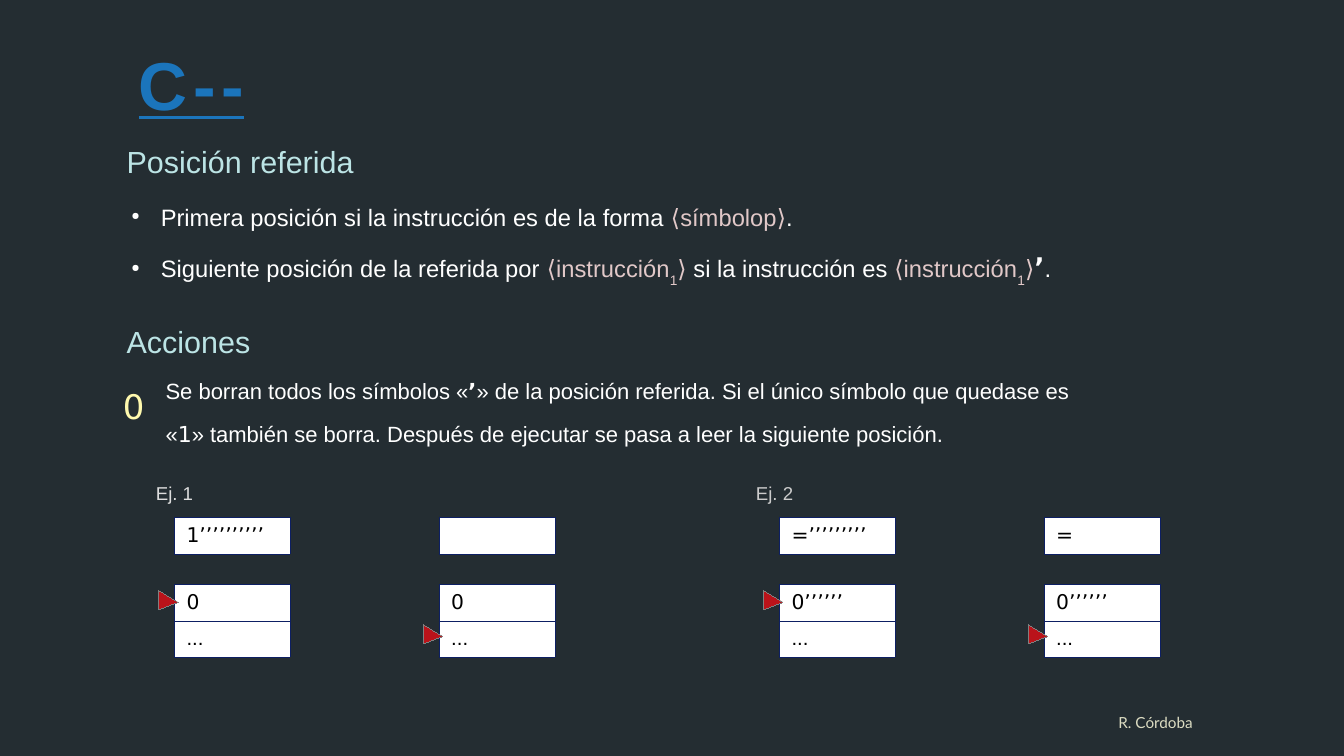
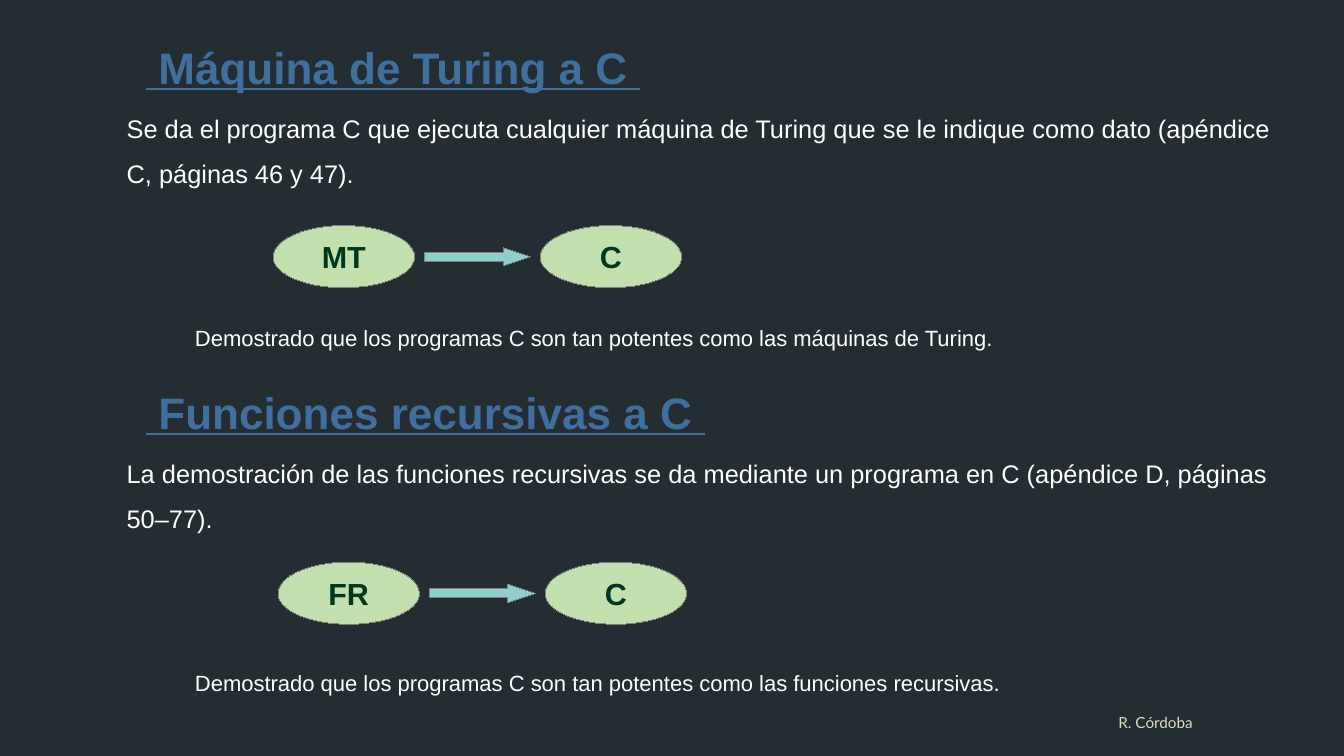
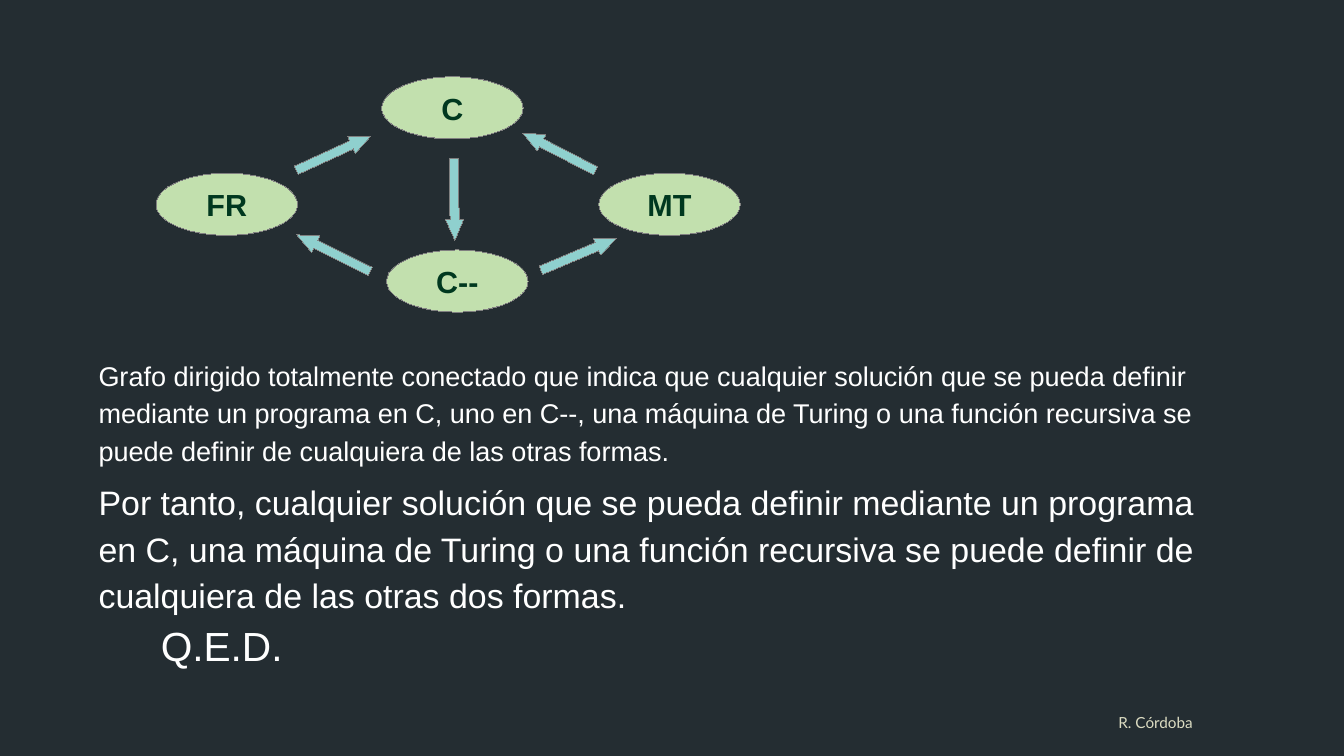
"""Build three slides on C--, Turing machines and recursive functions."""
from lxml.etree import SubElement
from pptx import Presentation
from pptx.dml.color import RGBColor
from pptx.enum.shapes import MSO_SHAPE as SHAPE
from pptx.enum.text import MSO_ANCHOR, MSO_AUTO_SIZE, PP_ALIGN
from pptx.oxml.ns import qn
from pptx.util import Inches, Pt

COLORS = {
    "background": "242D32", "white": "FFFFFF", "black": "000000",
    "title": "1B75BC", "section": "406E9D", "heading": "BCE4E5",
    "term": "E1C8C8", "digit": "FFF9AE", "footer": "DCDCC2",
    "example1": "DDDDDD", "example2": "CCCCCC", "border": "0D1F63",
    "pointer": "BA131A", "outline": "808080",
    "node": "C2E0AE", "node_text": "00381F", "arrow": "8FD0CE",
}
SANS, MONO = "Arial", "DejaVu Sans"
NODE_W, NODE_H, ARROW_H = 1.16, 0.51, 0.15
CELL_W, CELL_H = 0.95, 0.3
STEP_GAP = 2.17

TERM = {"color": "term"}
INDEX = {"color": "term", "baseline": -33000}
TICK = {"font": MONO, "bold": True}
RULES = [
    [("Primera posición si la instrucción es de la forma ", {}),
     ("⟨símbolop⟩", TERM), (".", {})],
    [("Siguiente posición de la referida por ", {}),
     ("⟨instrucción", TERM), ("1", INDEX), ("⟩", TERM),
     (" si la instrucción es", {}),
     (" ⟨instrucción", TERM), ("1", INDEX), ("⟩", TERM),
     ("’", {**TICK, "size": 16}), (".", {})],
]
ACTION = [
    ("Se borran todos los símbolos «", {}), ("’", TICK),
    ("» de la posición referida. Si el único símbolo que quedase es «", {}),
    ("1", {"font": MONO}),
    ("» también se borra. Después de ejecutar se pasa a leer la siguiente posición.", {}),
]
EXAMPLES = [
    ("Ej. 1", "example1", 1.18, 1.43, [("1’’’’’’’’’’", "0"), ("", "0")]),
    ("Ej. 2", "example2", 6.1, 6.39, [("=’’’’’’’’’", "0’’’’’’"), ("=", "0’’’’’’")]),
]
PROOFS = [
    {"title": " Máquina de Turing a C ", "top": 0.28, "source": "MT", "graph": (2.24, 1.85),
     "text": "Se da el programa C que ejecuta cualquier máquina de Turing que se le "
             "indique como dato (apéndice C, páginas 46 y 47).",
     "result": "Demostrado que los programas C son tan potentes como las máquinas de Turing."},
    {"title": " Funciones recursivas a C ", "top": 3.11, "source": "FR", "graph": (2.28, 4.61),
     "text": "La demostración de las funciones recursivas se da mediante un programa "
             "en C (apéndice D, páginas 50‒77).",
     "result": "Demostrado que los programas C son tan potentes como las funciones recursivas."},
]
NODES = [("FR", 1.28, 1.42), ("C", 3.13, 0.63), ("C--", 3.17, 2.05), ("MT", 4.91, 1.42)]
LINKS = [(4.41, 2.01, 337.1), (2.4, 2, 206.4), (4.25, 1.17, 207.3),
         (2.4, 1.18, 335.4), (3.39, 1.56, 89.2)]
CONCLUSIONS = [
    ("Grafo dirigido totalmente conectado que indica que cualquier solución que se pueda "
     "definir mediante un programa en C, uno en C--, una máquina de Turing o una función "
     "recursiva se puede definir de cualquiera de las otras formas.",
     (0.71, 2.86, 9.84, 1), 16, 1.15),
    ("Por tanto, cualquier solución que se pueda definir mediante un programa en C, una "
     "máquina de Turing o una función recursiva se puede definir de cualquiera de las "
     "otras dos formas.", (0.71, 3.85, 9.45, 1.17), 20, 1.15),
    ("Q.E.D.", (1.22, 5.04, 1.34, 0.47), 24, None),
]


def rgb(name):
    return RGBColor.from_string(COLORS[name])


def add_run(p, text, size, color="white", font=SANS, bold=False,
            underline=False, baseline=None, spacing=None):
    r = p.add_run()
    r.text = text
    f = r.font
    f.size, f.name, f.bold, f.underline = Pt(size), font, bold, underline
    f.color.rgb = rgb(color)
    for key, value in (("baseline", baseline), ("spc", spacing)):
        if value is not None:
            f._element.set(key, str(value))


def add_bullet(p):
    pPr = p._p.get_or_add_pPr()
    pPr.set("marL", str(Inches(0.24)))
    pPr.set("indent", str(-Inches(0.24)))
    color = SubElement(pPr, qn("a:buClr"))
    SubElement(color, qn("a:srgbClr")).set("val", COLORS["white"])
    SubElement(pPr, qn("a:buSzPct")).set("val", "45000")
    SubElement(pPr, qn("a:buChar")).set("char", "●")


def add_text(s, at, paragraphs, size, line=None, bullet=False, **style):
    if isinstance(paragraphs, str):
        paragraphs = [[(paragraphs, {})]]
    tf = s.shapes.add_textbox(*map(Inches, at)).text_frame
    tf.word_wrap = True
    tf.auto_size = MSO_AUTO_SIZE.SHAPE_TO_FIT_TEXT
    for i, runs in enumerate(paragraphs):
        p = tf.add_paragraph() if i else tf.paragraphs[0]
        if line:
            p.line_spacing = line
        if bullet:
            add_bullet(p)
        for text, own in runs:
            add_run(p, text, **{"size": size, **style, **own})
    return tf


def add_figure(s, kind, at, fill, rotation=0, adjustments=()):
    sp = s.shapes.add_shape(kind, *map(Inches, at))
    sp.shadow.inherit = False
    sp.fill.solid()
    sp.fill.fore_color.rgb = rgb(fill)
    sp.line.color.rgb = rgb("outline")
    sp.line.width = Pt(0.01)
    sp.rotation = rotation
    for i, value in enumerate(adjustments):
        sp.adjustments[i] = value
    return sp


def add_node(s, label, left, top):
    tf = add_figure(s, SHAPE.OVAL, (left, top, NODE_W, NODE_H), "node").text_frame
    tf.word_wrap = False
    tf.vertical_anchor = MSO_ANCHOR.MIDDLE
    p = tf.paragraphs[0]
    p.alignment = PP_ALIGN.CENTER
    add_run(p, label, 18, "node_text", bold=True)


def add_arrow(s, left, top, width, head, rotation=0):
    add_figure(s, SHAPE.RIGHT_ARROW, (left, top, width, ARROW_H), "arrow",
               rotation, (0.5, head))


def add_borders(cell):
    tcPr = cell._tc.get_or_add_tcPr()
    for i, side in enumerate(("lnL", "lnR", "lnT", "lnB")):
        ln = tcPr.makeelement(qn(f"a:{side}"), {"w": str(Pt(0.06))})
        fill = SubElement(ln, qn("a:solidFill"))
        SubElement(fill, qn("a:srgbClr")).set("val", COLORS["border"])
        tcPr.insert(i, ln)


def add_memory(s, left, top, values):
    frame = s.shapes.add_table(len(values), 1, Inches(left), Inches(top),
                               Inches(CELL_W), Inches(CELL_H * len(values)))
    table = frame.table
    table.first_row = table.horz_banding = False
    for i, value in enumerate(values):
        cell = table.cell(i, 0)
        cell.fill.solid()
        cell.fill.fore_color.rgb = rgb("white")
        add_borders(cell)
        p = cell.text_frame.paragraphs[0]
        if value:
            add_run(p, value, 12, "black", SANS if value == "..." else MONO)
        else:
            SubElement(p._p, qn("a:endParaRPr")).set("sz", "1200")


def add_slide(prs):
    s = prs.slides.add_slide(prs.slide_layouts[6])
    tf = add_text(s, (7.73, 5.85, 3.49, 0.43), "R. Córdoba", 9, color="footer", font="Lato")
    tf.auto_size = MSO_AUTO_SIZE.NONE
    tf.margin_left = tf.margin_right = tf.margin_top = tf.margin_bottom = 0
    tf.paragraphs[0].alignment = PP_ALIGN.CENTER
    return s


def build_actions(s):
    add_text(s, (1.04, 0.3, 2, 0.72), "C--", 40,
             color="title", bold=True, underline=True, spacing=340)
    for heading, top in (("Posición referida", 1.12), ("Acciones", 2.6)):
        add_text(s, (0.94, top, 3, 0.38), heading, 18, color="heading")
    add_text(s, (0.98, 1.5, 8.9, 0.94), RULES, 14, line=1.5, bullet=True)
    add_text(s, (1.26, 2.91, 7.76, 0.81), [ACTION], 13, line=Pt(25.5))
    add_text(s, (0.91, 3.11, 0.5, 0.42), "0", 20, color="digit", font=MONO)
    for label, color, label_left, left, steps in EXAMPLES:
        add_text(s, (label_left, 3.9, 1, 0.27), label, 11, color=color)
        for i, (data, instruction) in enumerate(steps):
            x = left + i * STEP_GAP
            add_memory(s, x, 4.24, [data])
            add_memory(s, x, 4.79, [instruction, "..."])
            add_figure(s, SHAPE.ISOSCELES_TRIANGLE, (x - 0.13, 4.84 + i * 0.28, 0.16, 0.16),
                       "pointer", 89.5, (0.628,))


def build_proofs(s):
    gap, arrow_w = 0.08, 0.87
    for proof in PROOFS:
        top = proof["top"]
        add_text(s, (1.1, top, 8.19, 0.53), proof["title"], 26,
                 color="section", bold=True, underline=True)
        add_text(s, (0.94, top + 0.47, 9.76, 0.79), proof["text"], 15, line=1.5)
        add_text(s, (1.5, top + 2.33, 6.85, 0.34), proof["result"], 13)
        x, y = proof["graph"]
        arrow_x = x + NODE_W + gap
        add_node(s, proof["source"], x, y)
        add_node(s, "C", arrow_x + arrow_w + gap, y)
        add_arrow(s, arrow_x, y + (NODE_H - ARROW_H) / 2, arrow_w, 1.499)


def build_conclusion(s):
    for node in NODES:
        add_node(s, *node)
    for left, top, rotation in LINKS:
        add_arrow(s, left, top, 0.67, 1.145, rotation)
    for text, at, size, line in CONCLUSIONS:
        add_text(s, at, text, size, line=line)


def main():
    prs = Presentation()
    prs.slide_width, prs.slide_height = Inches(11.02), Inches(6.2)
    fill = prs.slide_master.background.fill
    fill.solid()
    fill.fore_color.rgb = rgb("background")
    for build in (build_actions, build_proofs, build_conclusion):
        build(add_slide(prs))
    prs.save("out.pptx")


if __name__ == "__main__":
    main()
